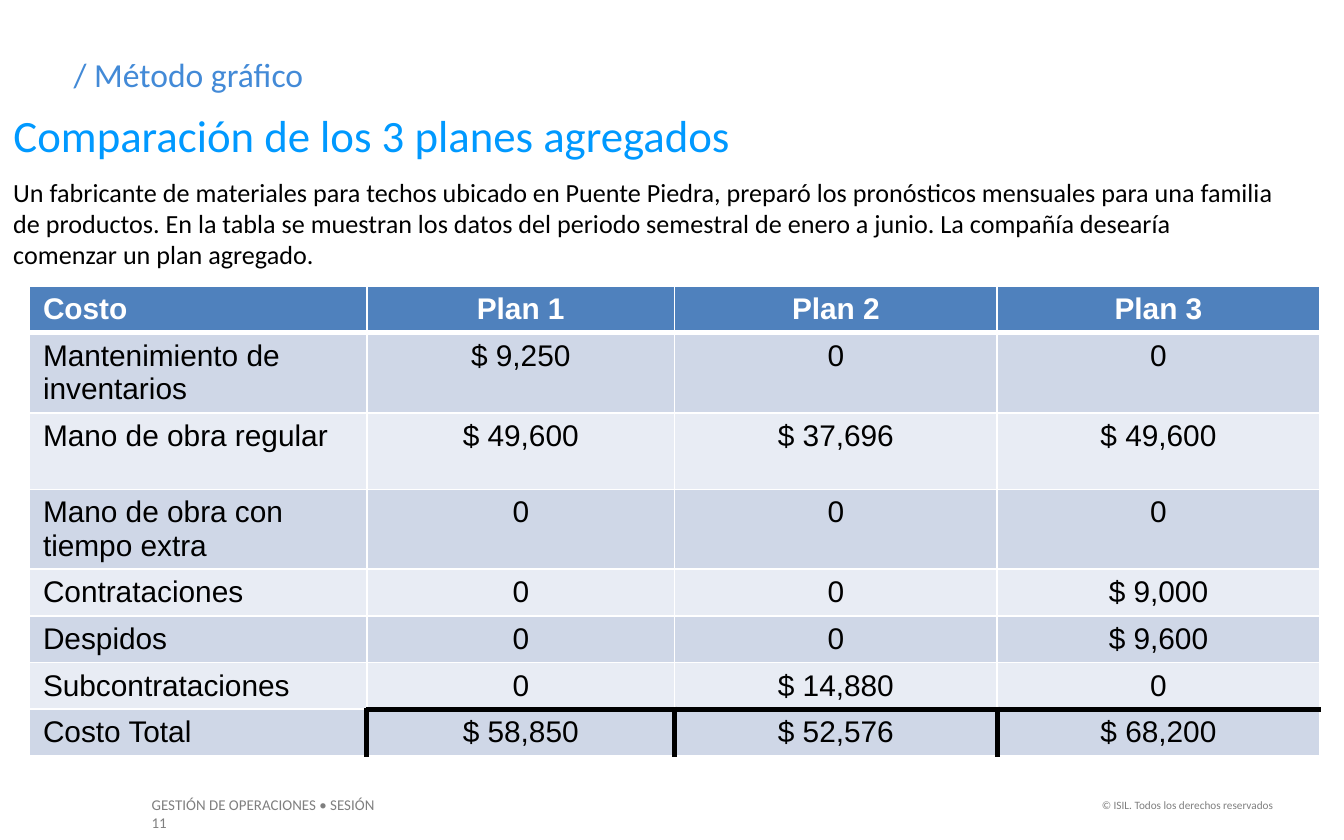
from lxml import etree
from pptx import Presentation
from pptx.dml.color import RGBColor
from pptx.enum.text import MSO_ANCHOR, MSO_AUTO_SIZE, PP_ALIGN
from pptx.oxml.ns import qn
from pptx.util import Pt

LEFT, CENTER, RIGHT = PP_ALIGN.LEFT, PP_ALIGN.CENTER, PP_ALIGN.RIGHT
TOP = MSO_ANCHOR.TOP
NO_AUTOFIT = MSO_AUTO_SIZE.NONE
PX = 9144
TITLE_ONLY = 5

THEME = {
    "text_font": "Calibri", "table_font": "Arial",
    "section": "438AD7", "title": "0099FF", "ink": "000000",
    "footer": "7F7F7F", "white": "FFFFFF", "header_fill": "4F81BD",
    "bands": ("CFD7E7", "E8ECF4"),
    "section_size": 18, "title_size": 24, "body_size": 14,
    "footer_size": 8, "rights_size": 6, "table_size": 16,
    "thin": 1, "thick": 3,
}


def write_text(shape, box, text, size, color, alignment=LEFT):
    shape.left, shape.top, shape.width, shape.height = [value * PX for value in box]
    frame = shape.text_frame
    frame.text = text
    frame.word_wrap = True
    frame.auto_size = NO_AUTOFIT
    frame.vertical_anchor = TOP
    paragraph = frame.paragraphs[0]
    paragraph.alignment = alignment
    paragraph.font.name = THEME["text_font"]
    paragraph.font.size = Pt(THEME[size])
    paragraph.font.color.rgb = RGBColor.from_string(THEME[color])


def add_border(cell, side, color, width):
    properties = cell._tc.get_or_add_tcPr()
    line = etree.SubElement(properties, qn("a:ln" + side), w=str(Pt(width)))
    fill = etree.SubElement(line, qn("a:solidFill"))
    etree.SubElement(fill, qn("a:srgbClr"), val=color)


presentation = Presentation()
presentation.slide_width = 1000 * PX
presentation.slide_height = 625 * PX
slide = presentation.slides.add_slide(presentation.slide_layouts[TITLE_ONLY])

write_text(slide.shapes.title, (0, 75, 661, 50),
           "Comparación de los 3 planes agregados", "title_size", "title")

text_boxes = [
    ((45, 35, 788, 40), "/ Método gráfico", "section_size", "section", LEFT),
    ((0, 126, 961, 81),
     "Un fabricante de materiales para techos ubicado en Puente Piedra, preparó los "
     "pronósticos mensuales para una familia de productos. En la tabla se muestran los "
     "datos del periodo semestral de enero a junio. La compañía desearía comenzar un "
     "plan agregado.", "body_size", "ink", LEFT),
    ((103, 587, 195, 24), "GESTIÓN DE OPERACIONES • SESIÓN 11",
     "footer_size", "footer", LEFT),
    ((803, 589, 154, 20), "© ISIL. Todos los derechos reservados",
     "rights_size", "footer", RIGHT),
]
for box, text, size, color, alignment in text_boxes:
    write_text(slide.shapes.add_textbox(0, 0, 0, 0), box, text, size, color, alignment)

cost_rows = [
    ("Costo", "Plan 1", "Plan 2", "Plan 3"),
    ("Mantenimiento de inventarios", "$ 9,250", "0", "0"),
    ("Mano de obra regular", "$ 49,600", "$ 37,696", "$ 49,600"),
    ("Mano de obra con tiempo extra", "0", "0", "0"),
    ("Contrataciones", "0", "0", "$ 9,000"),
    ("Despidos", "0", "0", "$ 9,600"),
    ("Subcontrataciones", "0", "$ 14,880", "0"),
    ("Costo Total", "$ 58,850", "$ 52,576", "$ 68,200"),
]
column_widths = (251, 229, 240, 240)
row_heights = (33, 57, 57, 57, 33, 33, 33, 33)
total_row = len(cost_rows) - 1
last_column = len(column_widths) - 1

table = slide.shapes.add_table(
    len(cost_rows), len(column_widths), 22 * PX, 213 * PX,
    sum(column_widths) * PX, sum(row_heights) * PX).table
for column, width in zip(table.columns, column_widths):
    column.width = width * PX
for row, height in zip(table.rows, row_heights):
    row.height = height * PX

for row_index, values in enumerate(cost_rows):
    is_header = row_index == 0
    is_total = row_index == total_row
    for column_index, value in enumerate(values):
        cell = table.cell(row_index, column_index)
        is_plan = column_index > 0
        black_sides = {
            "L": is_total and is_plan,
            "R": is_total and column_index < last_column,
            "T": is_total and is_plan,
            "B": row_index == total_row - 1 and is_plan,
        }
        for side, is_black in black_sides.items():
            is_thick = is_black or (is_header and side == "B")
            add_border(cell, side, THEME["ink" if is_black else "white"],
                       THEME["thick" if is_thick else "thin"])
        band = THEME["bands"][(row_index - 1) % 2]
        cell.fill.solid()
        cell.fill.fore_color.rgb = RGBColor.from_string(
            THEME["header_fill"] if is_header else band)
        cell.text = value
        paragraph = cell.text_frame.paragraphs[0]
        paragraph.alignment = CENTER if is_plan else LEFT
        paragraph.font.name = THEME["table_font"]
        paragraph.font.size = Pt(THEME["table_size"])
        paragraph.font.bold = is_header
        paragraph.font.color.rgb = RGBColor.from_string(
            THEME["white" if is_header else "ink"])

presentation.save("out.pptx")
